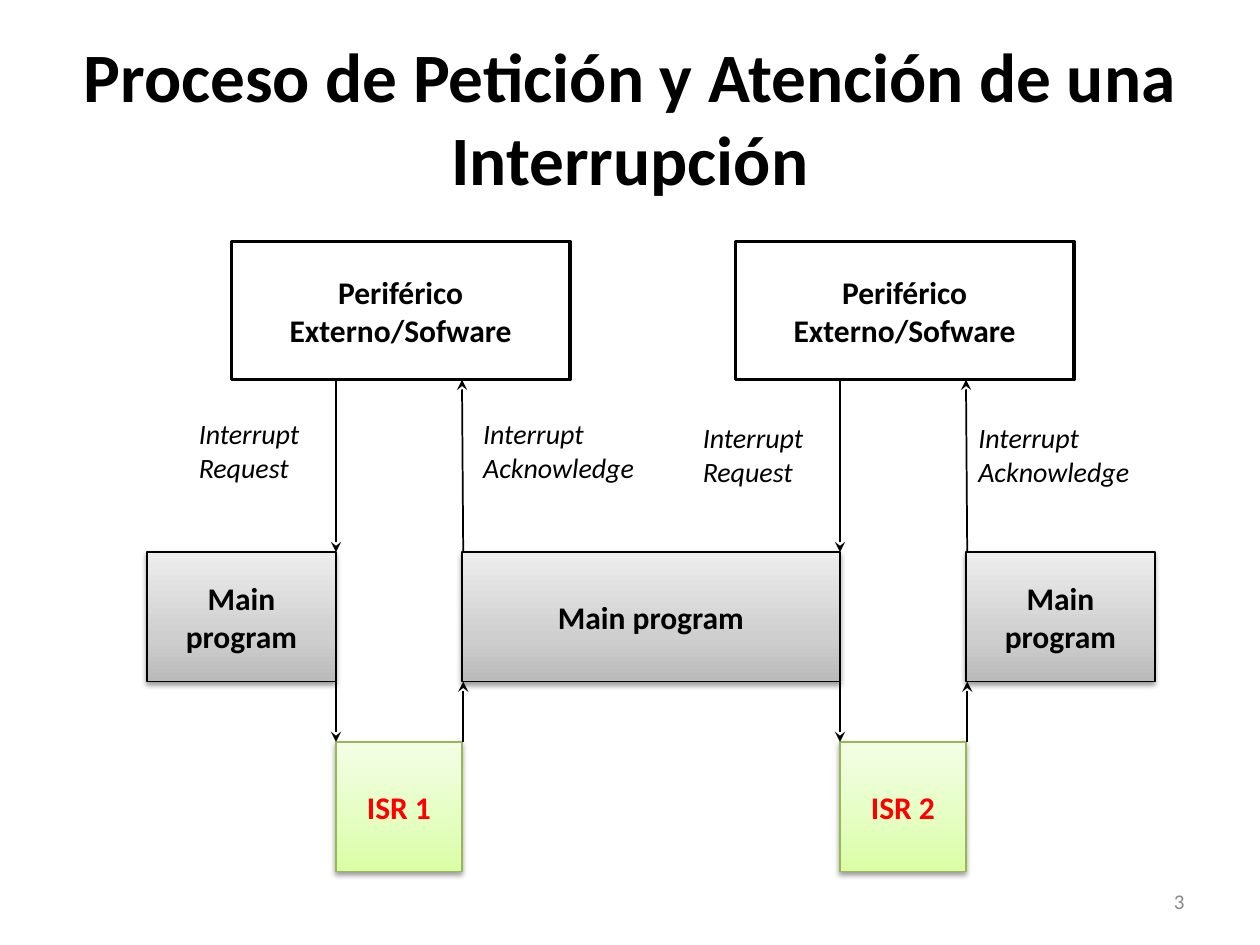
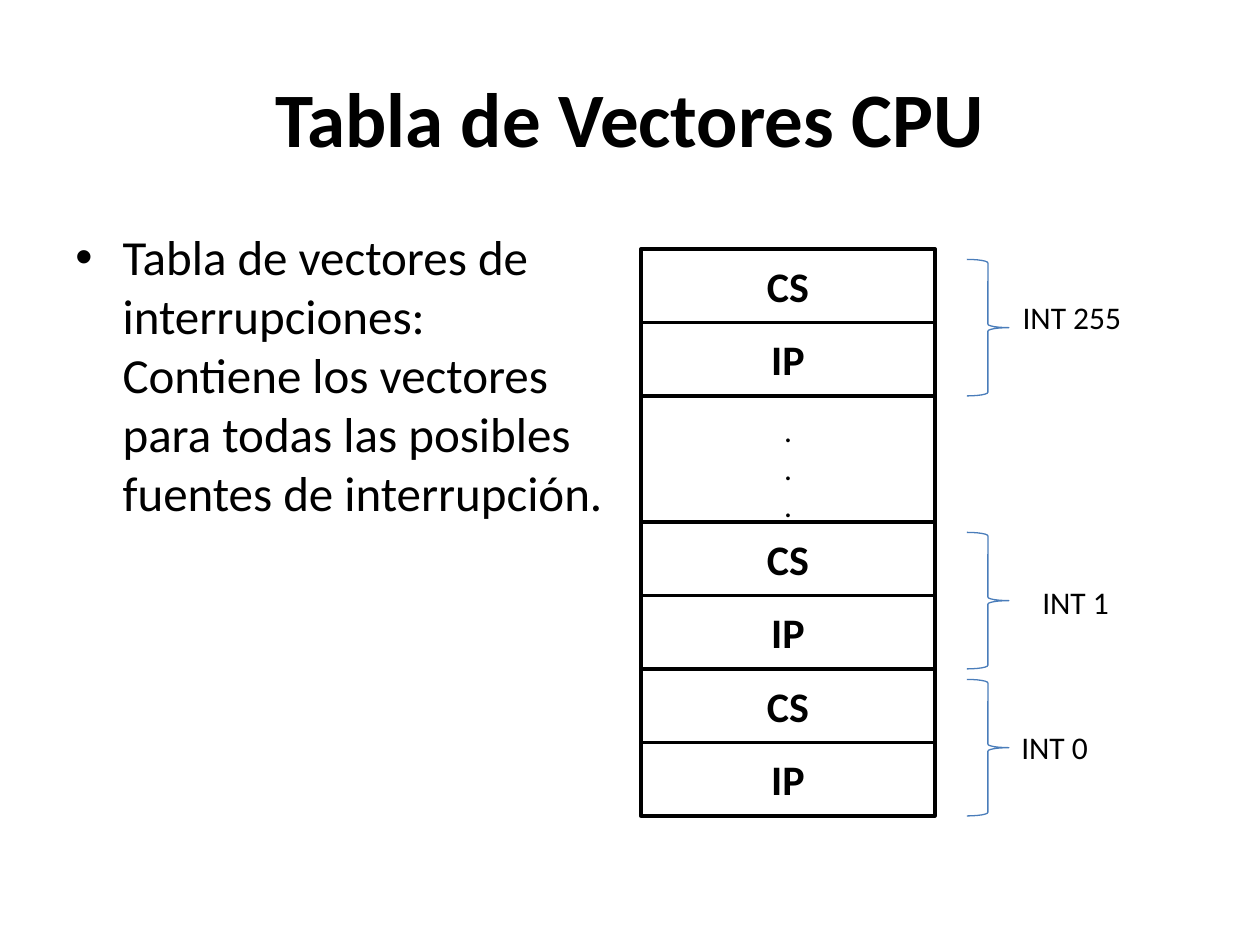
from dataclasses import dataclass

from lxml.etree import SubElement
from pptx import Presentation
from pptx.dml.color import RGBColor
from pptx.enum.shapes import MSO_CONNECTOR, MSO_SHAPE
from pptx.enum.text import MSO_ANCHOR, PP_ALIGN
from pptx.oxml.ns import qn
from pptx.util import Pt


@dataclass(frozen=True)
class Theme:
    font: str = "Calibri"
    black: str = "000000"
    white: str = "FFFFFF"
    red: str = "FF0000"
    footer: str = "888888"
    green_line: str = "97B853"
    brace: str = "4A7DBA"
    gray_stops: tuple = ((0, "BABABA"), (35, "CFCFCF"), (100, "EDEDED"))
    green_stops: tuple = ((0, "DAFEA4"), (35, "E3FEBF"), (100, "F4FEE6"))
    title_size: float = 44
    long_title_size: float = 39.6
    body_size: float = 28
    cell_size: float = 24
    text_size: float = 18
    label_size: float = 16
    footer_size: float = 12


THEME = Theme()


def color(value):
    return RGBColor.from_string(value)


def add_run(paragraph, text, size, fill=THEME.black, bold=False, italic=False):
    run = paragraph.add_run()
    run.text = text
    run.font.name = THEME.font
    run.font.size = Pt(size)
    run.font.bold = bold
    run.font.italic = italic
    run.font.color.rgb = color(fill)


def add_text(slide, left, top, width, height, lines, size,
             align=PP_ALIGN.LEFT, anchor=MSO_ANCHOR.TOP, **style):
    shape = slide.shapes.add_textbox(Pt(left), Pt(top), Pt(width), Pt(height))
    frame = shape.text_frame
    frame.word_wrap = True
    frame.vertical_anchor = anchor
    for index, line in enumerate(lines):
        paragraph = frame.add_paragraph() if index else frame.paragraphs[0]
        paragraph.alignment = align
        add_run(paragraph, line, size, **style)
    return frame


def add_title(slide, text, size=THEME.title_size):
    add_text(slide, 36, 21.6, 648, 90, [text], size,
             PP_ALIGN.CENTER, MSO_ANCHOR.MIDDLE, bold=True)


def add_page_number(slide, number):
    add_text(slide, 516, 500.5, 168, 28.75, [str(number)], THEME.footer_size,
             PP_ALIGN.RIGHT, MSO_ANCHOR.MIDDLE, fill=THEME.footer)


def add_box(slide, left, top, width, height, text, size=THEME.text_size,
            line=THEME.black, line_width=2.0, text_color=THEME.black):
    shape = slide.shapes.add_shape(
        MSO_SHAPE.RECTANGLE, Pt(left), Pt(top), Pt(width), Pt(height))
    shape.shadow.inherit = False
    shape.fill.solid()
    shape.fill.fore_color.rgb = color(THEME.white)
    shape.line.color.rgb = color(line)
    shape.line.width = Pt(line_width)
    shape.text_frame.word_wrap = True
    shape.text_frame.vertical_anchor = MSO_ANCHOR.MIDDLE
    paragraph = shape.text_frame.paragraphs[0]
    paragraph.alignment = PP_ALIGN.CENTER
    add_run(paragraph, text, size, text_color, bold=True)
    return shape


def add_raised_box(slide, left, top, width, height, text, stops, **style):
    """Box with an upward gradient and a soft shadow below."""
    shape = add_box(slide, left, top, width, height, text,
                    line_width=0.75, **style)
    properties = shape._element.spPr
    solid = properties.find(qn("a:solidFill"))
    gradient = SubElement(properties, qn("a:gradFill"), rotWithShape="1")
    stop_list = SubElement(gradient, qn("a:gsLst"))
    for position, value in stops:
        stop = SubElement(stop_list, qn("a:gs"), pos=str(position * 1000))
        SubElement(stop, qn("a:srgbClr"), val=value)
    SubElement(gradient, qn("a:lin"), ang="16200000", scaled="1")
    properties.replace(solid, gradient)

    shadow = SubElement(properties.find(qn("a:effectLst")), qn("a:outerShdw"),
                        blurRad=str(Pt(3.1)), dist=str(Pt(1.6)),
                        dir="5400000", rotWithShape="0")
    shadow_color = SubElement(shadow, qn("a:srgbClr"), val=THEME.black)
    SubElement(shadow_color, qn("a:alpha"), val="38000")


def add_line(slide, start, end, width, arrow=False):
    connector = slide.shapes.add_connector(
        MSO_CONNECTOR.STRAIGHT, *(Pt(value) for value in (*start, *end)))
    connector.line.color.rgb = color(THEME.black)
    connector.line.width = Pt(width)
    if arrow:
        SubElement(connector.line._get_or_add_ln(), qn("a:tailEnd"),
                   type="stealth")
    SubElement(connector._element.spPr, qn("a:effectLst"))


def add_brace(slide, left, top, width, height):
    shape = slide.shapes.add_shape(
        MSO_SHAPE.RIGHT_BRACE, Pt(left), Pt(top), Pt(width), Pt(height))
    shape.shadow.inherit = False
    shape.fill.background()
    shape.line.color.rgb = color(THEME.brace)
    shape.line.width = Pt(0.75)


def add_bullet(slide, left, top, width, height, text):
    frame = add_text(slide, left, top, width, height, [text], THEME.body_size)
    properties = frame.paragraphs[0]._p.get_or_add_pPr()
    properties.set("marL", str(Pt(27)))
    properties.set("indent", str(-Pt(27)))
    SubElement(properties, qn("a:buFont"), typeface="Arial")
    SubElement(properties, qn("a:buChar"), char="•")


def add_interrupt(slide, number, request_x, acknowledge_label_x):
    """One request, service and return sequence."""
    acknowledge_x = request_x + 72
    device_bottom, main_top, main_bottom, isr_top = 217, 315.5, 389.5, 424
    add_box(slide, request_x - 59.75, 138, 193.5, 79,
            "Periférico Externo/Sofware")
    add_raised_box(slide, request_x, isr_top, 72, 74, f"ISR {number}",
                   THEME.green_stops, line=THEME.green_line,
                   text_color=THEME.red)
    arrows = (
        ((request_x, device_bottom), (request_x, main_top)),
        ((request_x, main_bottom), (request_x, isr_top)),
        ((acknowledge_x + 0.7, isr_top), (acknowledge_x + 0.7, main_bottom)),
        ((acknowledge_x + 0.7, main_top), (acknowledge_x, device_bottom)),
    )
    for start, end in arrows:
        add_line(slide, start, end, 1, arrow=True)
    label_top = 234.5 if number == 1 else 236.75
    for left, word in ((request_x - 85.5, "Request"),
                       (acknowledge_label_x, "Acknowledge")):
        add_text(slide, left, label_top, 104, 47, ["Interrupt", word],
                 THEME.label_size, italic=True)


def build_interrupt_process(slide):
    add_title(slide, "Proceso de Petición y Atención de una Interrupción",
              THEME.long_title_size)
    for left, width in ((84, 108), (264, 216), (552, 108)):
        add_raised_box(slide, left, 315.5, width, 74, "Main program",
                       THEME.gray_stops)
    add_interrupt(slide, 1, 192, 269)
    add_interrupt(slide, 2, 480, 552)
    add_page_number(slide, 3)


def build_vector_table(slide):
    add_title(slide, "Tabla de Vectores CPU")
    add_bullet(slide, 36, 126, 318, 356.5,
               "Tabla de vectores de interrupciones: Contiene los vectores "
               "para todas las posibles fuentes de interrupción.")
    table_left, table_width, row_height = 366.25, 168, 42
    vectors = (
        ("INT 255", 142.25, 577.25, 166.5),
        ("INT 1", 298.25, 588.5, 329.75),
        ("INT 0", 382.25, 576.5, 412.5),
    )
    for name, top, label_left, label_top in vectors:
        for row, register in enumerate(("CS", "IP")):
            add_box(slide, table_left, top + row * row_height, table_width,
                    row_height, register, THEME.cell_size)
        add_brace(slide, 552.5, top + 6, 24, 78)
        add_text(slide, label_left, label_top, 74, 29, [name],
                 THEME.text_size)
    add_text(slide, 441, 231.25, 20, 73, ["."] * 3, THEME.text_size)
    for x in (table_left, table_left + table_width):
        add_line(slide, (x, 226.25), (x, 298.25), 2)


def main():
    presentation = Presentation()
    presentation.slide_width = Pt(720)
    presentation.slide_height = Pt(540)
    blank = presentation.slide_layouts[6]
    for build in (build_interrupt_process, build_vector_table):
        build(presentation.slides.add_slide(blank))
    presentation.save("out.pptx")


if __name__ == "__main__":
    main()
